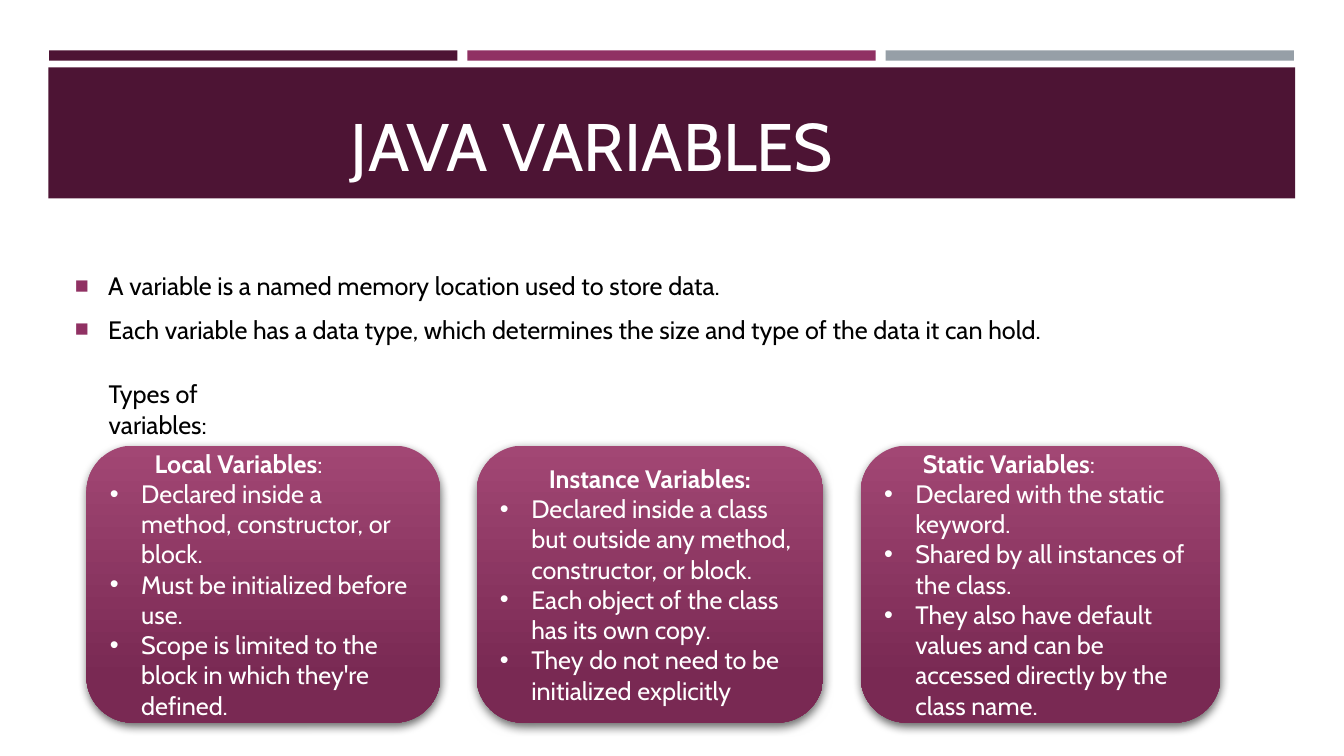
from lxml import etree
from pptx import Presentation
from pptx.dml.color import RGBColor
from pptx.enum.shapes import MSO_SHAPE
from pptx.enum.text import MSO_ANCHOR, PP_ALIGN
from pptx.oxml.ns import qn
from pptx.util import Cm, Pt

RECT, ROUNDED = MSO_SHAPE.RECTANGLE, MSO_SHAPE.ROUNDED_RECTANGLE
TOP, MIDDLE, BOTTOM = MSO_ANCHOR.TOP, MSO_ANCHOR.MIDDLE, MSO_ANCHOR.BOTTOM
LEFT, CENTER = PP_ALIGN.LEFT, PP_ALIGN.CENTER

PLUM = RGBColor(0x4D, 0x14, 0x34)
MAGENTA = RGBColor(0x90, 0x31, 0x63)
GREY = RGBColor(0x96, 0x9F, 0xA7)
CARD_LIGHT = RGBColor(0xA2, 0x47, 0x74)
CARD_DARK = RGBColor(0x79, 0x29, 0x53)
WHITE = RGBColor(0xFF, 0xFF, 0xFF)
BLACK = RGBColor(0, 0, 0)
FONT = "Cabin"

# Content
TITLE = "JAVA VARIABLES"
FACTS = [
    "A variable is a named memory location used to store data.",
    "Each variable has a data type, which determines the size and type of the data it can hold.",
]
TYPES_LABEL = "Types of variables:"
# left and width in cm, heading runs (text, bold), heading alignment and indent in cm, points
CARDS = [
    (2.18, 8.92, [("Local Variables", True), (":", False)], LEFT, 1.13,
     ["Declared inside a method, constructor, or block.",
      "Must be initialized before use.",
      "Scope is limited to the block in which they're defined."]),
    (12.01, 8.74, [("Instance Variables:", True)], CENTER, 0,
     ["Declared inside a class but outside any method, constructor, or block.",
      "Each object of the class has its own copy.",
      "They do not need to be initialized explicitly"]),
    (21.69, 9.07, [("Static Variables", True), (":", False)], LEFT, 0.98,
     ["Declared with the static keyword.",
      "Shared by all instances of the class.",
      "They also have default values and can be accessed directly by the class name."]),
]
BARS = [PLUM, MAGENTA, GREY]
BAR_LEFT, BAR_WIDTH, BAR_STEP = 1.24, 10.29, 10.54
CARD_TOP, CARD_HEIGHT = 11.23, 6.98


def apply(obj, values):
    for name, value in values.items():
        setattr(obj, name, value)


def place(shape, left, top, width, height):
    apply(shape, dict(left=Cm(left), top=Cm(top), width=Cm(width), height=Cm(height)))


def add_block(kind, left, top, width, height):
    sp = s.shapes.add_shape(kind, Cm(left), Cm(top), Cm(width), Cm(height))
    sp.shadow.inherit = False
    sp.line.fill.background()
    return sp


def add_paragraph(tf, first, runs, color, size=18, **paragraph_format):
    p = tf.paragraphs[0] if first else tf.add_paragraph()
    apply(p, {"alignment": LEFT, **paragraph_format})
    for text, bold in runs:
        r = p.add_run()
        r.text = text
        apply(r.font, dict(name=FONT, size=Pt(size), bold=bold))
        r.font.color.rgb = color
    return p


def add_bullet(p, char, indent, color=None, percent=100):
    pPr = p._p.get_or_add_pPr()
    pPr.set("marL", str(Cm(indent)))
    pPr.set("indent", str(-Cm(indent)))
    if color is not None:
        clr = etree.SubElement(pPr, qn("a:buClr"))
        etree.SubElement(clr, qn("a:srgbClr"), val=str(color))
    etree.SubElement(pPr, qn("a:buSzPct"), val=str(percent * 1000))
    etree.SubElement(pPr, qn("a:buFont"), typeface="Arial")
    etree.SubElement(pPr, qn("a:buChar"), char=char)


def add_soft_shadow(sp):
    effects = sp._element.spPr.find(qn("a:effectLst"))
    shadow = etree.SubElement(effects, qn("a:outerShdw"), blurRad=str(Pt(7)),
                              dist=str(Pt(3)), dir=str(84 * 60000), rotWithShape="0")
    clr = etree.SubElement(shadow, qn("a:srgbClr"), val=str(BLACK))
    etree.SubElement(clr, qn("a:alpha"), val="60000")


prs = Presentation()
apply(prs, dict(slide_width=Cm(33.87), slide_height=Cm(19.05)))
s = prs.slides.add_slide(prs.slide_layouts[1])
title, body = s.placeholders

# Header bars and title panel
for i, color in enumerate(BARS):
    bar = add_block(RECT, BAR_LEFT + i * BAR_STEP, 1.27, BAR_WIDTH, 0.26)
    bar.fill.solid()
    bar.fill.fore_color.rgb = color
panel = add_block(RECT, 1.22, 1.7, 31.42, 3.3)
panel.fill.solid()
panel.fill.fore_color.rgb = PLUM

# Title, brought in front of its panel
s.shapes._spTree.append(title._element)
place(title, 8.59, 1.96, 23.65, 2.82)
apply(title.text_frame, dict(word_wrap=True, vertical_anchor=BOTTOM))
add_paragraph(title.text_frame, True, [(TITLE, False)], WHITE, 48)

# Facts list
place(body, 1.63, 6.05, 30.63, 3.38)
apply(body.text_frame, dict(word_wrap=True, vertical_anchor=MIDDLE))
for i, fact in enumerate(FACTS):
    p = add_paragraph(body.text_frame, i == 0, [(fact, False)], BLACK,
                      space_before=Pt(3.6), space_after=Pt(6))
    add_bullet(p, "■", 0.84, MAGENTA, 92)

# Label above the cards
label = s.shapes.add_textbox(Cm(2.49), Cm(9.42), Cm(5.23), Cm(1.8))
apply(label.text_frame, dict(word_wrap=True, vertical_anchor=TOP))
add_paragraph(label.text_frame, True, [(TYPES_LABEL, False)], BLACK)

# Variable type cards
for left, width, heading, align, indent, points in CARDS:
    card = add_block(ROUNDED, left, CARD_TOP, width, CARD_HEIGHT)
    card.fill.gradient()
    card.fill.gradient_angle = 270
    stops = zip(card.fill.gradient_stops, [(0, CARD_LIGHT), (0.84, CARD_DARK)])
    for stop, (position, color) in stops:
        stop.color.rgb = color
        stop.position = position
    add_soft_shadow(card)
    tf = card.text_frame
    apply(tf, dict(word_wrap=True, vertical_anchor=MIDDLE))
    p = add_paragraph(tf, True, heading, WHITE, alignment=align)
    p._p.get_or_add_pPr().set("marL", str(Cm(indent)))
    for point in points:
        add_bullet(add_paragraph(tf, False, [(point, False)], WHITE), "•", 0.79)

prs.save("out.pptx")
